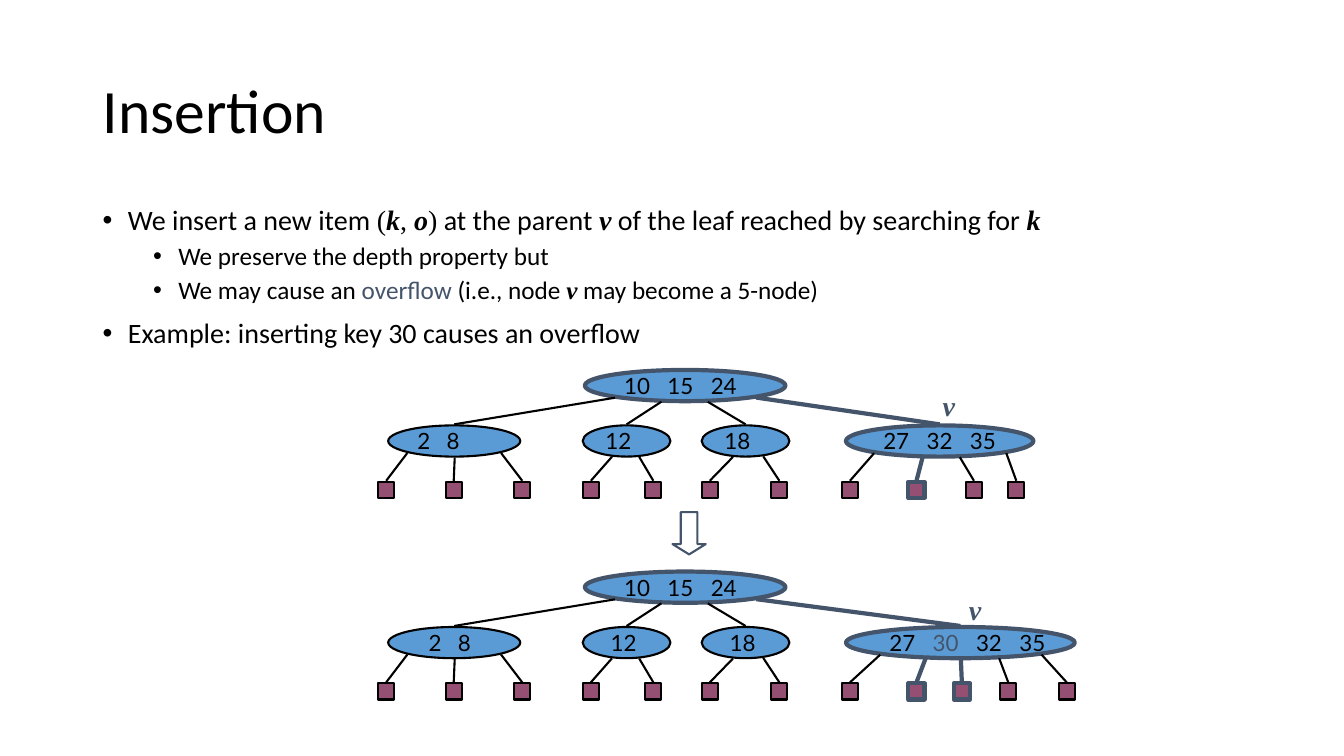
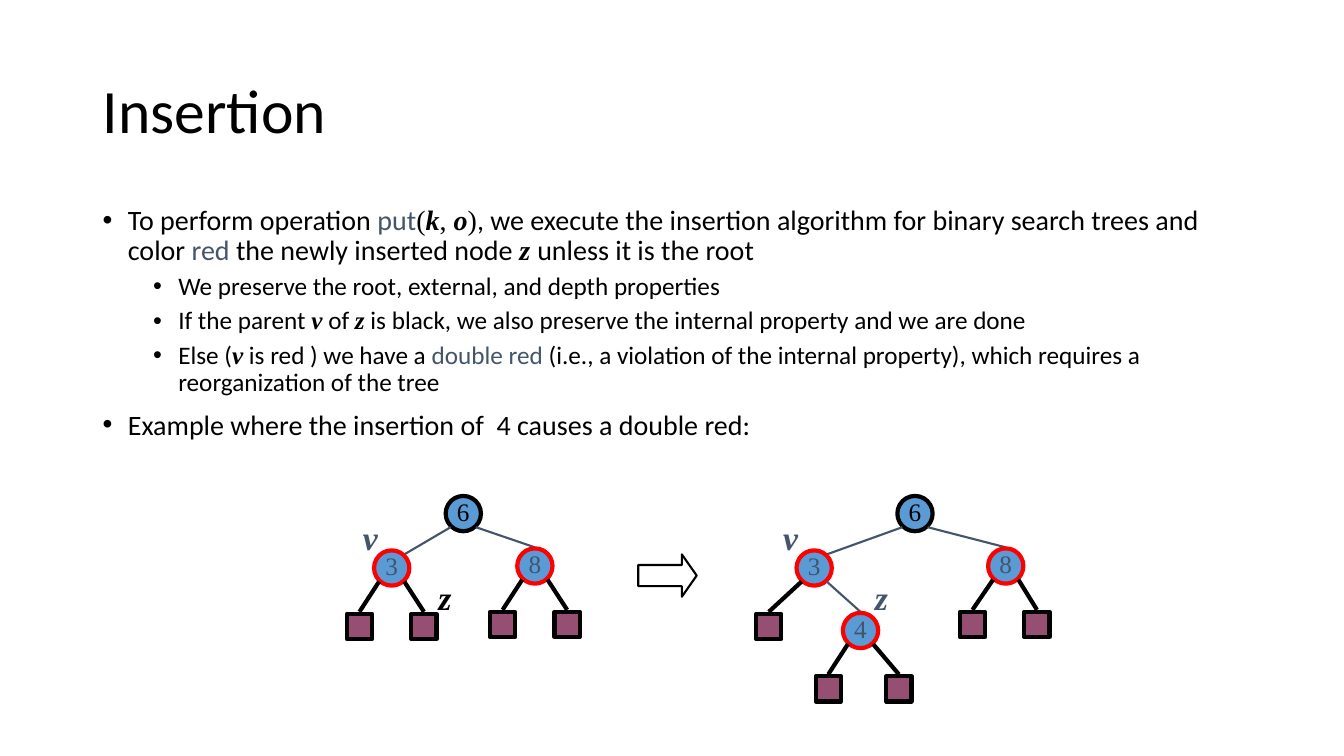
"""Build two slides on insertion in search trees."""
import math
import pptx
import pptx.dml.color
import pptx.enum.shapes
import pptx.enum.text
import pptx.oxml
import pptx.oxml.ns
import pptx.util

Inches, Pt = pptx.util.Inches, pptx.util.Pt
Kind = pptx.enum.shapes.MSO_SHAPE
Align = pptx.enum.text.PP_ALIGN
Anchor = pptx.enum.text.MSO_ANCHOR
HUES = {"ink": "000000", "slate": "44546A", "blue": "5B9BD5", "plum": "954F72", "red": "FF0000"}
SANS, SERIF, KEYS = "Calibri", "Times New Roman", "Lato"
LOOKS = {
    "plain": (SANS, "ink", False),
    "hue": (SANS, "slate", False),
    "sym": (SERIF, "ink", False),
    "var": (SERIF, "ink", True),
}
LEVELS = [(20, 0.25, 10), (18, 0.75, 5)]

MULTI_TEXT = [
    (0, [("We insert a new item ", "plain"), ("(", "sym"), ("k", "var"), (", ", "sym"),
         ("o", "var"), (")", "sym"), (" at the parent ", "plain"), ("v", "var"),
         (" of the leaf reached by searching for ", "plain"), ("k", "var")]),
    (1, [("We preserve the depth property but", "plain")]),
    (1, [("We may cause an ", "plain"), ("overflow", "hue"), (" (i.e., node ", "plain"),
         ("v", "var"), (" may become a 5-node)", "plain")]),
    (0, [("Example: inserting key 30 causes an overflow", "plain")]),
]
RED_TEXT = [
    (0, [("To perform operation ", "plain"), ("put", "hue"), ("(", "sym"), ("k", "var"),
         (", ", "sym"), ("o", "var"), (")", "sym"),
         (", we execute the insertion algorithm for binary search trees and color ", "plain"),
         ("red", "hue"), (" the newly inserted node ", "plain"), ("z ", "var"),
         ("unless it is the root", "plain")]),
    (1, [("We preserve the root, external, and depth properties", "plain")]),
    (1, [("If the parent ", "plain"), ("v", "var"), (" of ", "plain"), ("z", "var"),
         (" is black, we also preserve the internal property and we are done", "plain")]),
    (1, [("Else (", "plain"), ("v", "var"), (" is red ) we have a ", "plain"),
         ("double red", "hue"),
         (" (i.e., a violation of the internal property), which requires a reorganization"
          " of the tree", "plain")]),
    (0, [("Example where the insertion of  4 causes a double red:", "plain")]),
]

# node: left, width, keys, start on root, hue, leaves (left, end on node, hue)
ROOT = (5.8, 1.99, ["10", "15", "24"])
SMALL = [
    (3.85, 1.31, ["2", "8"], 6.1, "ink",
     [(3.75, 4.04, "ink"), (4.42, 4.51, "ink"), (5.1, 4.97, "ink")]),
    (5.78, 0.87, ["12"], 6.56, "ink", [(5.78, 6.07, "ink"), (6.4, 6.34, "ink")]),
    (6.96, 0.87, ["18"], 7.02, "ink", [(6.96, 7.27, "ink"), (7.65, 7.57, "ink")]),
]
FOUR = (8.39, 1.86, ["27", "32", "35"], 7.5, "slate",
        [(8.35, 8.67, "ink"), (9.01, 9.15, "slate"), (9.58, 9.52, "ink"), (10, 9.98, "ink")])
FIVE = (8.39, 2.27, ["27", "30", "32", "35"], 7.5, "slate",
        [(8.35, 8.73, "ink"), (9.01, 9.18, "slate"), (9.46, 9.53, "slate"),
         (9.92, 9.91, "ink"), (10.5, 10.33, "ink")])
# tree: top, last node, insets of the small nodes, label place
MULTI = [
    (3.67, FOUR, [0.1, 0.1, 0.1], (9.25, 3.81)),
    (5.67, FIVE, [0.21, 0.15, 0.15], (9.51, 5.83)),
]
TALL, LEAF = 0.31, 0.16

# node: key, left, top, children; a bare number is the left of a leaf
BINARY = [
    ("6", 4.42, 4.92, [("3", 3.71, 5.46, [3.44, 4.08]), ("8", 5.13, 5.44, [4.86, 5.5])]),
    ("6", 8.9, 4.92, [("3", 7.9, 5.46, [7.5, ("4", 8.36, 6.08, [8.09, 8.79])]),
                      ("8", 9.8, 5.44, [9.52, 10.16])]),
]
MARKS = [("z", 4.25, 5.67, "ink"), ("v", 3.5, 5.08, "slate"),
         ("v", 7.67, 5.08, "slate"), ("z", 8.58, 5.67, "slate")]
DISC, BOX, DROP = 0.35, 0.25, 0.63


def rgb(hue):
    return pptx.dml.color.RGBColor.from_string(HUES[hue])


def add(parent, tag, **attrs):
    item = pptx.oxml.parse_xml(f"<{tag} {pptx.oxml.ns.nsdecls('a')}/>")
    for name, value in attrs.items():
        item.set(name, str(value))
    parent.append(item)
    return item


def style(run, size, font, hue, slant=False):
    run.font.size, run.font.name = Pt(size), font
    run.font.bold = run.font.italic = slant
    run.font.color.rgb = rgb(hue)


def shape(slide, kind, place, fill, hue, width):
    item = slide.shapes.add_shape(kind, *map(Inches, place))
    item.shadow.inherit = False
    if fill:
        item.fill.solid()
        item.fill.fore_color.rgb = rgb(fill)
    else:
        item.fill.background()
    item.line.color.rgb, item.line.width = rgb(hue), Pt(width)
    return item


def line(slide, start, end, hue, width):
    item = slide.shapes.add_connector(
        pptx.enum.shapes.MSO_CONNECTOR.STRAIGHT, *map(Inches, start + end))
    item.line.color.rgb, item.line.width = rgb(hue), Pt(width)
    add(item._element.spPr, "a:effectLst")


def label(slide, text, place, size, hue):
    frame = slide.shapes.add_textbox(*map(Inches, place)).text_frame
    frame.text = text
    style(frame.paragraphs[0].runs[0], size, SERIF, hue, True)


def page(deck, text):
    slide = deck.slides.add_slide(deck.slide_layouts[5])
    title = slide.shapes.title
    title.left, title.top, title.width, title.height = map(Inches, (0.92, 0.4, 11.5, 1.45))
    frame = title.text_frame
    frame.text = "Insertion"
    frame.vertical_anchor = Anchor.MIDDLE
    para = frame.paragraphs[0]
    para.alignment, para.line_spacing = Align.LEFT, 0.9
    style(para.runs[0], 44, SANS, "ink")
    frame = slide.shapes.add_textbox(*map(Inches, (0.92, 2, 11.5, 4.76))).text_frame
    frame.word_wrap = True
    for spot, (level, parts) in enumerate(text):
        para = frame.add_paragraph() if spot else frame.paragraphs[0]
        size, indent, gap = LEVELS[level]
        para.level, para.line_spacing, para.space_before = level, 0.9, Pt(gap)
        props = para._p.get_or_add_pPr()
        props.set("marL", str(Inches(indent)))
        props.set("indent", str(Inches(-0.25)))
        add(props, "a:buFont", typeface="Arial")
        add(props, "a:buChar", char="•")
        for words, look in parts:
            run = para.add_run()
            run.text = words
            style(run, size, *LOOKS[look])
    return slide


def oval(slide, left, top, width, keys, hue, inset=0.1):
    item = shape(slide, Kind.OVAL, (left, top, width, TALL), "blue", hue,
                 3 if hue == "slate" else 1.5)
    frame = item.text_frame
    frame.word_wrap, frame.vertical_anchor = False, Anchor.MIDDLE
    frame.margin_left = Inches(inset)
    para = frame.paragraphs[0]
    para.alignment = Align.LEFT
    tabs = add(para._p.get_or_add_pPr(), "a:tabLst")
    stop = 0
    for spot, key in enumerate(keys):
        run = para.add_run()
        run.text = "\t" + key if spot else key
        style(run, 16, KEYS, "slate" if key == "30" else "ink")
        stop += 0.14 * len(key) + 0.15
        add(tabs, "a:tab", pos=Inches(stop), algn="l")


def rim(x, left, top, width):
    """Give the point under x on the lower edge of an oval."""
    ratio = (x - left) / (width / 2) - 1
    return x, top + TALL / 2 * (1 + math.sqrt(1 - ratio ** 2)) + 0.01


def multi(slide, top, last, insets, mark):
    left, width, keys = ROOT
    oval(slide, left, top, width, keys, "slate")
    low = top + 0.55
    for node, inset in zip(SMALL + [last], insets + [0.1]):
        x, wide, keys, start, hue, leaves = node
        oval(slide, x, low, wide, keys, hue, inset)
        line(slide, rim(start, left, top, width), (x + wide / 2, low - 0.01), hue,
             3 if hue == "slate" else 1.5)
        for spot, end, tint in leaves:
            weight = 3 if tint == "slate" else 1.5
            shape(slide, Kind.RECTANGLE, (spot, top + 1.11, LEAF, LEAF), "plum", tint, weight)
            line(slide, (spot + LEAF / 2, top + 1.1), rim(end, x, low, wide), tint, weight)
    label(slide, "v", mark + (0.32, 0.43), 20, "slate")


def binary(slide, node, root=True):
    key, left, top, kids = node
    disc = shape(slide, Kind.OVAL, (left, top, DISC, DISC), "blue", "ink" if root else "red", 3)
    frame = disc.text_frame
    frame.text = key
    frame.word_wrap, frame.vertical_anchor = False, Anchor.MIDDLE
    frame.margin_left = frame.margin_right = frame.margin_top = 0
    frame.margin_bottom = Inches(0.05)
    frame.paragraphs[0].alignment = Align.CENTER
    style(frame.paragraphs[0].runs[0], 18, SERIF, "ink" if root else "slate")
    for side, kid in enumerate(kids):
        start = (left + 0.05 + 0.25 * side, top + 0.31)
        if isinstance(kid, tuple):
            x, y = kid[1:3]
            end = (x + DISC / 2, y - 0.01) if side else (x + 0.3, y + 0.04)
            line(slide, start, end, "slate", 1.5)
            binary(slide, kid, False)
        else:
            y = top + DROP
            line(slide, start, (kid + BOX / 2, y - 0.02), "ink", 3)
            shape(slide, Kind.RECTANGLE, (kid, y, BOX, BOX), "plum", "ink", 3)


def main():
    deck = pptx.Presentation()
    deck.slide_width, deck.slide_height = Inches(13.33), Inches(7.5)
    slide = page(deck, MULTI_TEXT)
    for tree in MULTI:
        multi(slide, *tree)
    arrow = shape(slide, Kind.DOWN_ARROW, (6.67, 5.08, 0.33, 0.42), None, "slate", 1.5)
    arrow.adjustments[1] = 0.31
    slide = page(deck, RED_TEXT)
    for tree in BINARY:
        binary(slide, tree)
    for text, left, top, hue in MARKS:
        label(slide, text, (left, top, 0.34, 0.5), 24, hue)
    arrow = shape(slide, Kind.RIGHT_ARROW, (6.33, 5.5, 0.58, 0.42), None, "ink", 1.5)
    arrow.adjustments[1] = 0.35
    deck.save("out.pptx")


if __name__ == "__main__":
    main()
